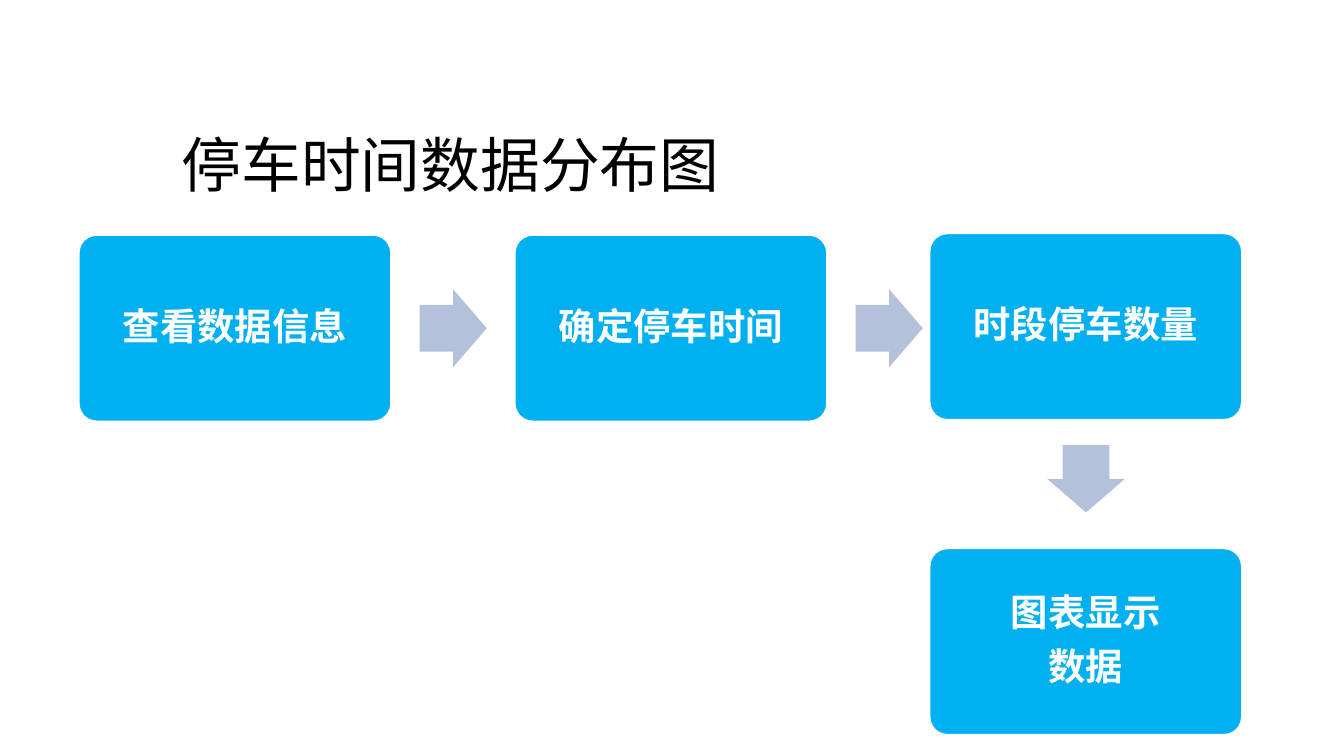
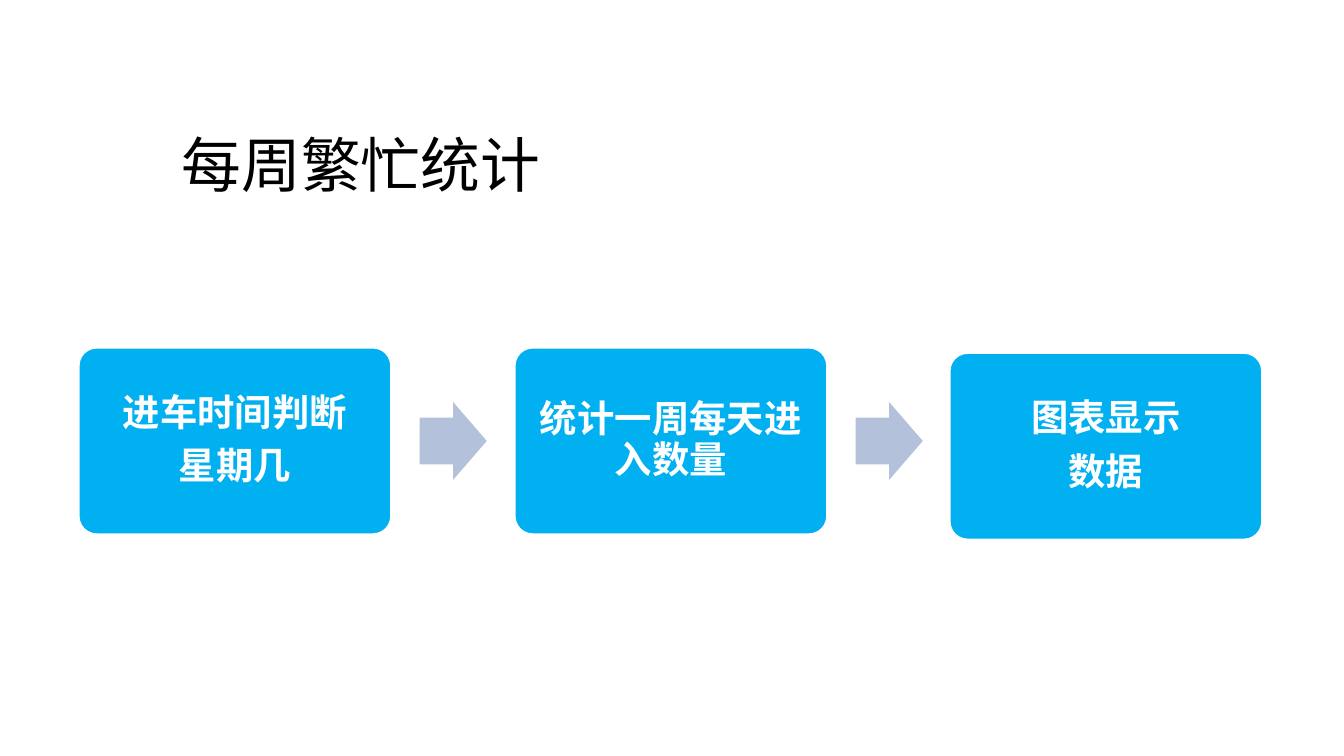
from pptx import Presentation
from pptx.dml.color import RGBColor
from pptx.enum.shapes import MSO_SHAPE
from pptx.enum.text import MSO_ANCHOR, MSO_AUTO_SIZE, PP_ALIGN
from pptx.util import Cm, Pt

BLUE, ARROW_GREY, WHITE, BLACK = "00B0F0", "B3C1DB", "FFFFFF", "000000"
BOX_WIDTH, BOX_HEIGHT = 5.94, 3.56
ARROW_WIDTH, ARROW_HEIGHT = 1.27, 1.47
ARROW_OFFSET = 6.46
TITLE_FONT = {"name": "Calibri", "size": Pt(32), "bold": False}
STEP_FONT = {"name": "Arial", "size": Pt(20), "bold": True}
STEP_FRAME = {
    "word_wrap": True,
    "vertical_anchor": MSO_ANCHOR.MIDDLE,
    "margin_left": Cm(0.2),
    "margin_top": Cm(0.2),
    "margin_right": Cm(0.2),
    "margin_bottom": Cm(0.2),
}
TITLE_FRAME = {
    "word_wrap": True,
    "vertical_anchor": MSO_ANCHOR.TOP,
    "auto_size": MSO_AUTO_SIZE.NONE,
}
STEP_PARAGRAPH = {
    "alignment": PP_ALIGN.CENTER,
    "line_spacing": 0.9,
    "space_after": Pt(7),
}
TITLE_PARAGRAPH = {"alignment": PP_ALIGN.LEFT}

SLIDES = [
    {
        "title": "停车时间数据分布图",
        "steps": [
            (1.47, 4.42, ["查看数据信息"]),
            (9.71, 4.42, ["确定停车时间"]),
            (17.55, 4.39, ["时段停车数量"]),
            (17.55, 10.34, ["图表显示", "数据"]),
        ],
        "down_arrows": [(19.89, 8.31)],
    },
    {
        "title": "每周繁忙统计",
        "steps": [
            (1.47, 6.55, ["进车时间判断", "星期几"]),
            (9.71, 6.55, ["统计一周每天进入数量"]),
            (17.93, 6.65, ["图表显示", "数据"]),
        ],
        "down_arrows": [],
    },
]


def add_filled_shape(slide, preset, left, top, width, height, fill, adjustments):
    shape = slide.shapes.add_shape(preset, Cm(left), Cm(top), Cm(width), Cm(height))
    shape.shadow.inherit = False
    shape.fill.solid()
    shape.fill.fore_color.rgb = RGBColor.from_string(fill)
    shape.line.fill.background()
    for index, value in enumerate(adjustments):
        shape.adjustments[index] = value
    return shape


def write_text(shape, lines, color, frame_format, paragraph_format, font_format):
    frame = shape.text_frame
    frame.text = "\n".join(lines)
    for name, value in frame_format.items():
        setattr(frame, name, value)
    for paragraph in frame.paragraphs:
        for name, value in paragraph_format.items():
            setattr(paragraph, name, value)
        for run in paragraph.runs:
            run.font.color.rgb = RGBColor.from_string(color)
            for name, value in font_format.items():
                setattr(run.font, name, value)


presentation = Presentation()
presentation.slide_width = Cm(25.4)
presentation.slide_height = Cm(14.28)

for content in SLIDES:
    slide = presentation.slides.add_slide(presentation.slide_layouts[5])

    title = slide.shapes.title
    title.left, title.top, title.width, title.height = Cm(3.18), Cm(2.29), Cm(21.82), Cm(1.7)
    write_text(title, [content["title"]], BLACK, TITLE_FRAME, TITLE_PARAGRAPH, TITLE_FONT)

    for left, top, lines in content["steps"]:
        box = add_filled_shape(slide, MSO_SHAPE.ROUNDED_RECTANGLE, left, top,
                               BOX_WIDTH, BOX_HEIGHT, BLUE, [0.1])
        box.line.color.rgb = RGBColor.from_string(WHITE)
        box.line.width = Pt(2)
        write_text(box, lines, WHITE, STEP_FRAME, STEP_PARAGRAPH, STEP_FONT)

    arrows = [(left + ARROW_OFFSET, top + (BOX_HEIGHT - ARROW_HEIGHT) / 2, 0)
              for left, top, lines in content["steps"][:2]]
    arrows += [(left, top, 90) for left, top in content["down_arrows"]]
    for left, top, rotation in arrows:
        arrow = add_filled_shape(slide, MSO_SHAPE.RIGHT_ARROW, left, top,
                                 ARROW_WIDTH, ARROW_HEIGHT, ARROW_GREY, [0.6, 0.5])
        arrow.rotation = rotation

presentation.save("out.pptx")
